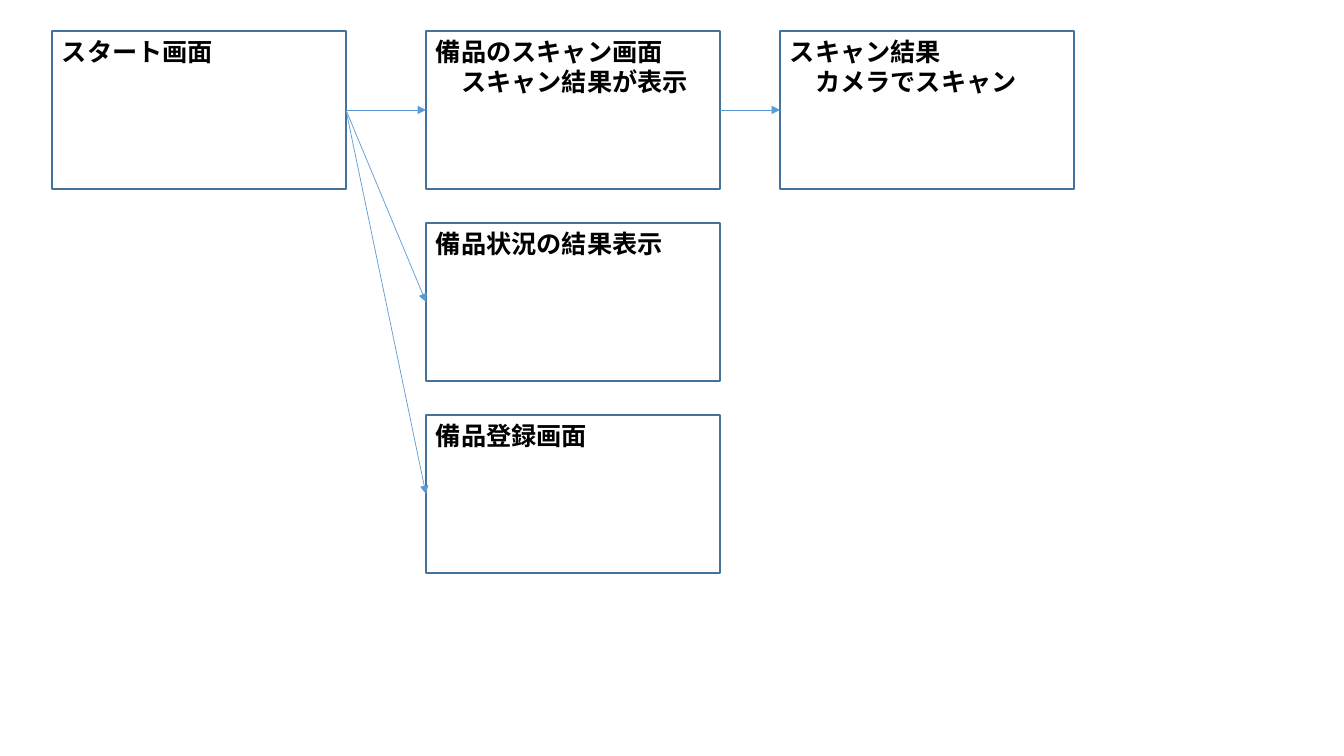
"""Build a screen flow slide for an equipment scanning app."""
from lxml import etree
from pptx import Presentation
from pptx.dml.color import RGBColor
from pptx.enum.shapes import MSO_CONNECTOR, MSO_SHAPE
from pptx.enum.text import MSO_ANCHOR, PP_ALIGN
from pptx.oxml.ns import qn
from pptx.util import Emu, Pt

RECT = MSO_SHAPE.RECTANGLE
LINE = MSO_CONNECTOR.STRAIGHT
TOP = MSO_ANCHOR.TOP
LEFT = PP_ALIGN.LEFT

SCREENS = {
    "start": (0, 0, "スタート画面"),
    "scan": (1, 0, "備品のスキャン画面\v　スキャン結果が表示"),
    "result": (2, 0, "スキャン結果\v　カメラでスキャン"),
    "status": (1, 1, "備品状況の結果表示"),
    "entry": (1, 2, "備品登録画面"),
}
FLOWS = [("start", "scan"), ("scan", "result"), ("start", "status"), ("start", "entry")]

COLORS = {"fill": "FFFFFF", "edge": "43739E", "arrow": "5B9BD5", "text": "000000"}
FACE = "Noto Sans CJK JP"
FONT = {"name": FACE, "size": Pt(18), "bold": True}
FRAME = {"word_wrap": True, "vertical_anchor": TOP}

SLIDE_WIDE, SLIDE_HIGH = 1344, 756
COLS = (52, 426, 780)
ROW, STEP = 31, 192
WIDE, HIGH = 294, 158
RIGHT_SITE, LEFT_SITE = 3, 1
SCALE = 914400 / 100.8


def px(count):
    return Emu(round(count * SCALE))


def color(name):
    return RGBColor.from_string(COLORS[name])


def apply(item, values):
    for key, value in values.items():
        setattr(item, key, value)


def draw_line(line, name, width):
    line.color.rgb = color(name)
    line.width = Pt(width)


def add_box(slide, col, row, text):
    left, top = COLS[col], ROW + row * STEP
    box = slide.shapes.add_shape(RECT, px(left), px(top), px(WIDE), px(HIGH))
    box.shadow.inherit = False
    box.fill.solid()
    box.fill.fore_color.rgb = color("fill")
    draw_line(box.line, "edge", 1)
    apply(box.text_frame, FRAME)
    para = box.text_frame.paragraphs[0]
    para.text = text
    para.alignment = LEFT
    for run in para.runs:
        apply(run.font, FONT)
        run.font.color.rgb = color("text")
        etree.SubElement(run.font._element, qn("a:ea"), typeface=FACE)
    return box


def add_arrow(slide, start, end):
    arrow = slide.shapes.add_connector(LINE, 0, 0, 0, 0)
    arrow.begin_connect(start, RIGHT_SITE)
    arrow.end_connect(end, LEFT_SITE)
    draw_line(arrow.line, "arrow", 0.5)
    props = arrow._element.spPr
    etree.SubElement(props.find(qn("a:ln")), qn("a:tailEnd"), type="triangle")
    etree.SubElement(props, qn("a:effectLst"))


def main():
    deck = Presentation()
    deck.slide_width, deck.slide_height = px(SLIDE_WIDE), px(SLIDE_HIGH)
    slide = deck.slides.add_slide(deck.slide_layouts[6])
    boxes = {name: add_box(slide, *screen) for name, screen in SCREENS.items()}
    for start, end in FLOWS:
        add_arrow(slide, boxes[start], boxes[end])
    deck.save("out.pptx")


if __name__ == "__main__":
    main()
